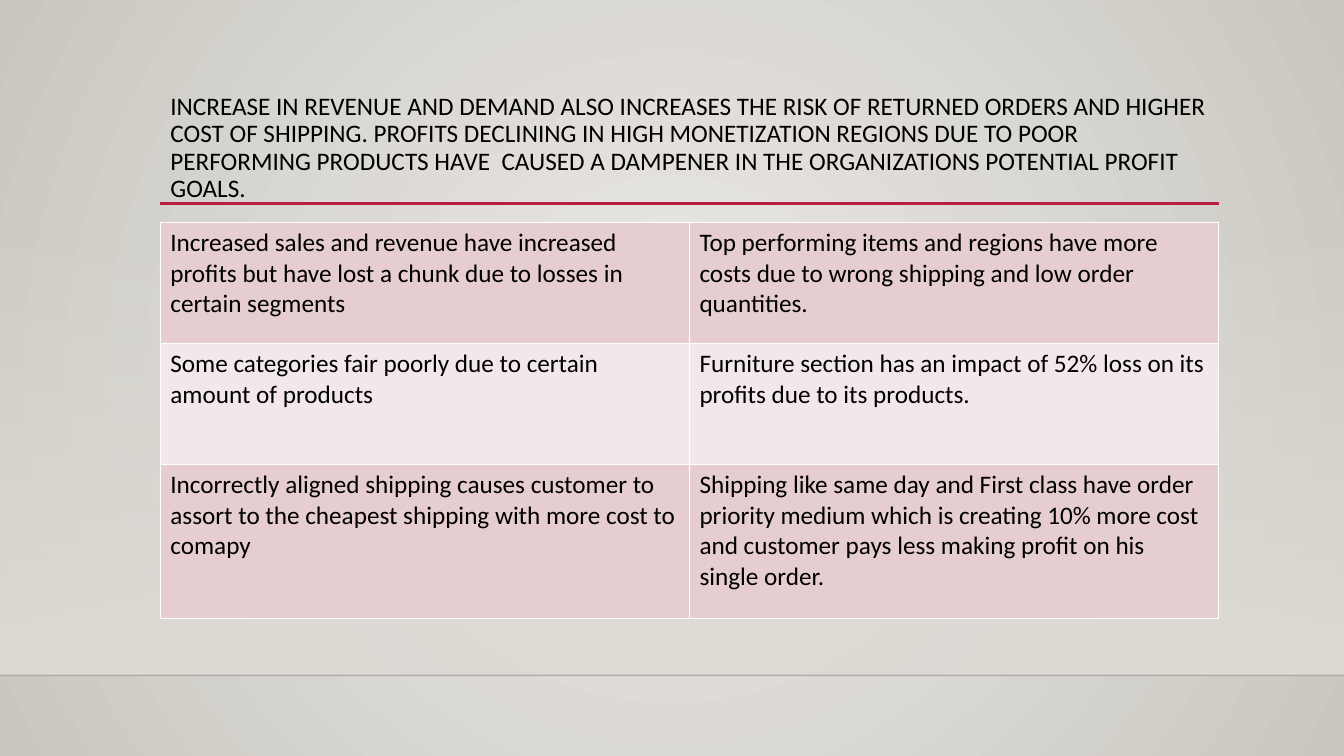
from lxml import etree
from pptx import Presentation
from pptx import util as u
from pptx.dml.color import RGBColor
from pptx.enum import shapes, text
from pptx.oxml import parse_xml
from pptx.oxml.ns import nsdecls, qn

BLACK = RGBColor(0x00, 0x00, 0x00)
WHITE = RGBColor(0xFF, 0xFF, 0xFF)
LIGHT = RGBColor(0xEC, 0xEA, 0xE7)
EDGE = RGBColor(0xCA, 0xC7, 0xC1)
WALL = RGBColor(0xDF, 0xDB, 0xD5)
FLOOR_LINE = RGBColor(0x00, 0x00, 0x01)
CRIMSON = RGBColor(0xB7, 0x1E, 0x42)
BANDS = (RGBColor(0xE6, 0xCD, 0xCF), RGBColor(0xF3, 0xE8, 0xE9))

WIDTH, HEIGHT = u.Cm(33.87), u.Cm(19.05)
LEFT, CONTENT_WIDTH = u.Cm(4.04), u.Cm(26.67)
FLOOR = u.Cm(17.02)


class SlideBuilder:
    font = {"name": "Calibri", "size": u.Pt(18), "bold": False}

    def __init__(self, slide):
        self.slide = slide

    def add_words(self, frame, words, **paragraph_format):
        paragraph = frame.paragraphs[0]
        run = paragraph.add_run()
        run.text = words
        run.font.color.rgb = BLACK
        for target, values in ((run.font, self.font), (paragraph, paragraph_format)):
            for name, value in values.items():
                setattr(target, name, value)

    def set_alpha(self, color_element, percent):
        etree.SubElement(color_element, qn("a:alpha"), val=str(percent * 1000))

    def gradient(self, fill, colors):
        fill.gradient()
        for stop, color in zip(fill.gradient_stops, colors):
            stop.color.rgb = color

    def background(self, center, edge):
        self.gradient(self.slide.background.fill, (center, edge))
        linear = next(self.slide.element.iter(qn("a:lin")))
        circle = parse_xml(
            f'<a:path {nsdecls("a")} path="circle">'
            '<a:fillToRect l="50000" t="50000" r="50000" b="50000"/></a:path>')
        linear.getparent().replace(linear, circle)

    def fading_panel(self, top, bottom, color):
        panel = self.slide.shapes.add_shape(
            shapes.MSO_SHAPE.RECTANGLE, 0, top, WIDTH, bottom - top)
        panel.shadow.inherit = False
        panel.line.fill.background()
        self.gradient(panel.fill, (color, color))
        panel.fill.gradient_angle = 270
        self.set_alpha(next(panel.element.spPr.iter(qn("a:srgbClr"))), 0)

    def rule(self, left, right, y, color, weight, alpha=100):
        line = self.slide.shapes.add_connector(
            shapes.MSO_CONNECTOR.STRAIGHT, left, y, right, y)
        line.line.color.rgb = color
        line.line.width = u.Pt(weight)
        properties = line.element.spPr
        if alpha < 100:
            self.set_alpha(next(properties.iter(qn("a:srgbClr"))), alpha)
        etree.SubElement(properties, qn("a:effectLst"))

    def title(self, words, top, height):
        title = self.slide.shapes.title
        box = {"left": LEFT, "top": top, "width": CONTENT_WIDTH, "height": height}
        for name, value in box.items():
            setattr(title, name, value)
        frame = title.text_frame
        layout = {"word_wrap": True, "auto_size": text.MSO_AUTO_SIZE.NONE,
                  "vertical_anchor": text.MSO_ANCHOR.TOP}
        for name, value in layout.items():
            setattr(frame, name, value)
        self.add_words(frame, words, alignment=text.PP_ALIGN.LEFT, line_spacing=0.9)

    def border_cell(self, cell, color):
        properties = cell._tc.get_or_add_tcPr()
        for index, side in enumerate(("lnL", "lnR", "lnT", "lnB")):
            properties.insert(index, parse_xml(
                f'<a:{side} {nsdecls("a")} w="{u.Pt(1)}"><a:solidFill>'
                f'<a:srgbClr val="{color}"/></a:solidFill></a:{side}>'))

    def table(self, rows, top, heights):
        table = self.slide.shapes.add_table(
            len(rows), len(rows[0]), LEFT, top, CONTENT_WIDTH, sum(heights)).table
        table.first_row = False
        for index, (words_in_row, height) in enumerate(zip(rows, heights)):
            table.rows[index].height = height
            for cell, words in zip(table.rows[index].cells, words_in_row):
                cell.fill.solid()
                cell.fill.fore_color.rgb = BANDS[index % 2]
                self.border_cell(cell, WHITE)
                self.add_words(cell.text_frame, words)


presentation = Presentation()
presentation.slide_width, presentation.slide_height = WIDTH, HEIGHT
builder = SlideBuilder(presentation.slides.add_slide(presentation.slide_layouts[5]))

# Backdrop
builder.background(LIGHT, EDGE)
builder.fading_panel(u.Cm(5.61), FLOOR, WALL)
builder.rule(0, WIDTH, FLOOR, FLOOR_LINE, 1, alpha=20)

# Title and its underline
builder.rule(LEFT, LEFT + CONTENT_WIDTH, u.Cm(5.13), CRIMSON, 2.5)
builder.title(
    "INCREASE IN REVENUE AND DEMAND ALSO INCREASES THE RISK OF RETURNED ORDERS "
    "AND HIGHER COST OF SHIPPING. PROFITS DECLINING IN HIGH MONETIZATION REGIONS "
    "DUE TO POOR PERFORMING PRODUCTS HAVE  CAUSED A DAMPENER IN THE "
    "ORGANIZATIONS POTENTIAL PROFIT GOALS.",
    u.Cm(2.24), u.Cm(2.92))

# Findings
findings = (
    ("Increased sales and revenue have increased profits but have lost a chunk "
     "due to losses in certain segments",
     "Top performing items and regions have more costs due to wrong shipping "
     "and low order quantities."),
    ("Some categories fair poorly due to certain amount of products",
     "Furniture section has an impact of 52% loss on its profits due to its "
     "products."),
    ("Incorrectly aligned shipping causes customer to assort to the cheapest "
     "shipping with more cost to comapy",
     "Shipping like same day and First class have order priority medium which "
     "is creating 10% more cost and customer pays less making profit on his "
     "single order."),
)
builder.table(findings, u.Cm(5.6), (u.Cm(3.05), u.Cm(3.05), u.Cm(3.88)))

presentation.save("out.pptx")
